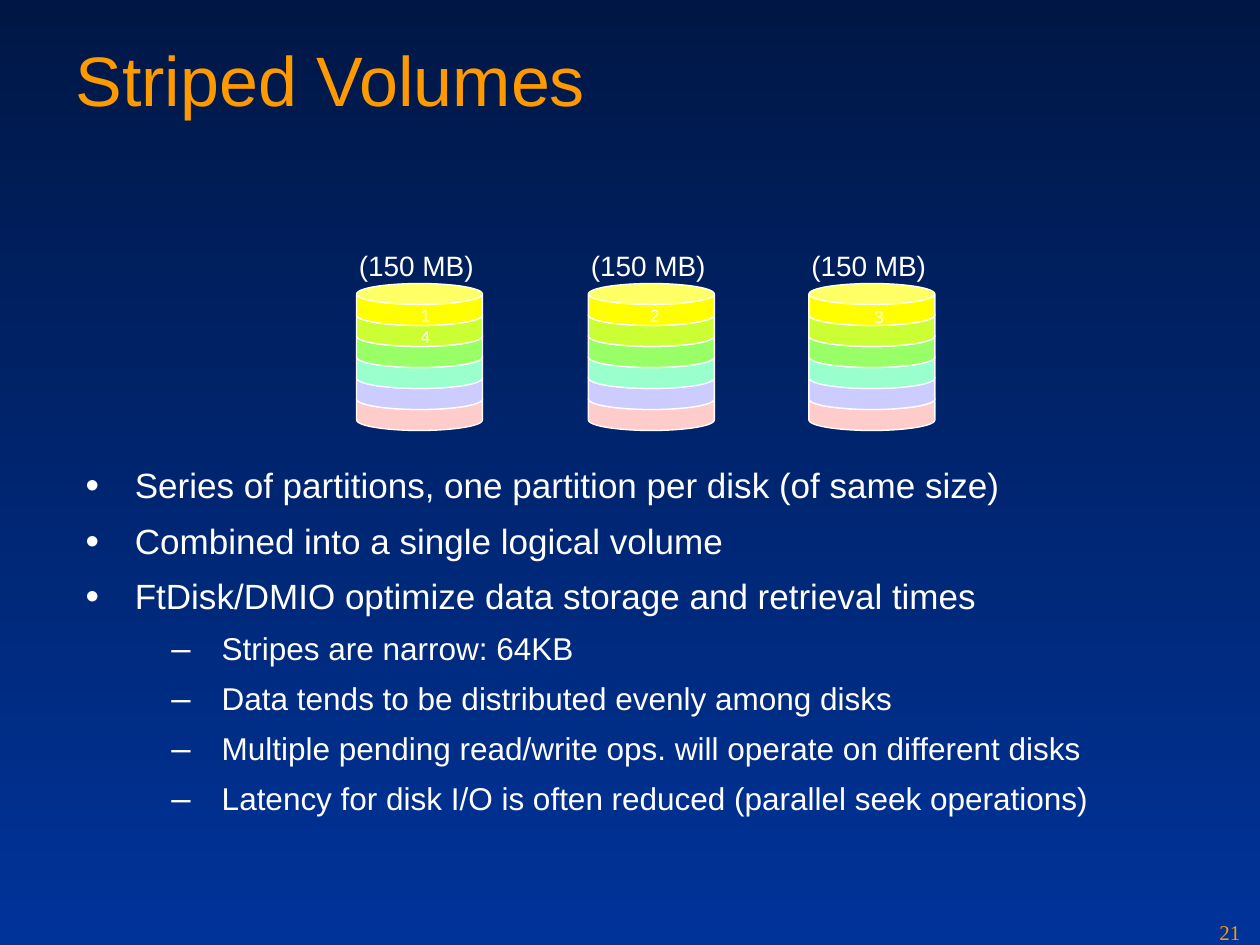
from dataclasses import dataclass

from lxml.etree import SubElement
from pptx import Presentation
from pptx.dml.color import RGBColor
from pptx.enum.shapes import MSO_SHAPE
from pptx.enum.text import MSO_ANCHOR, MSO_AUTO_SIZE, PP_ALIGN
from pptx.oxml.ns import qn
from pptx.util import Inches, Pt

COLORS = {
    "night": "001746", "blue": "003399", "orange": "FE9900", "white": "FFFFFF",
    "pink": "FFCCCC", "lilac": "CCCCFF", "mint": "99FFCC",
    "green": "99FF66", "lime": "CCFF33", "yellow": "FFFF00",
}
STRIPES = ["yellow", "lime", "green", "mint", "lilac", "pink"]
DISK_TOP, STRIPE_STEP = 2.25, 1 / 6


@dataclass
class Disk:
    left: float
    label_left: float


@dataclass
class Label:
    text: str
    left: float
    top: float
    width: float
    height: float
    size: float
    color: str = "white"
    font: str = "Arial"
    wrap: bool = False


@dataclass
class Level:
    size: float
    margin: float
    hang: float
    space: float
    bullet: str


LEVELS = [Level(20, 0.39, 0.39, 5, "•"), Level(18, 1.08, 0.4, 4.5, "–")]
DISKS = [Disk(2.83, 2.75), Disk(4.67, 4.59), Disk(6.42, 6.34)]
NUMBERS = [("1", 3.24, 2.37), ("2", 5.06, 2.37), ("4", 3.24, 2.54), ("3", 6.84, 2.38)]
BULLETS = [
    (0, "Series of partitions, one partition per disk (of same size)"),
    (0, "Combined into a single logical volume"),
    (0, "FtDisk/DMIO optimize data storage and retrieval times"),
    (1, "Stripes are narrow: 64KB"),
    (1, "Data tends to be distributed evenly among disks"),
    (1, "Multiple pending read/write ops. will operate on different disks"),
    (1, "Latency for disk I/O is often reduced (parallel seek operations)"),
]


def rgb(name: str) -> RGBColor:
    return RGBColor.from_string(COLORS[name])


def add_run(p, text: str, size: float, color: str, font: str = "Arial") -> None:
    r = p.add_run()
    r.text = text
    r.font.size = Pt(size)
    r.font.name = font
    r.font.color.rgb = rgb(color)


def place(sp, left: float, top: float, width: float, height: float):
    sp.left, sp.top = Inches(left), Inches(top)
    sp.width, sp.height = Inches(width), Inches(height)
    tf = sp.text_frame
    tf.auto_size = MSO_AUTO_SIZE.NONE
    tf.vertical_anchor = MSO_ANCHOR.TOP
    tf.word_wrap = True
    return tf


def add_bullet(p, level: int, text: str) -> None:
    style = LEVELS[level]
    p.level = level
    p.alignment = PP_ALIGN.LEFT
    p.line_spacing = 0.9
    p.space_before = p.space_after = Pt(style.space)
    pPr = p._p.get_or_add_pPr()
    pPr.set("marL", str(Inches(style.margin)))
    pPr.set("indent", str(-Inches(style.hang)))
    color = SubElement(pPr, qn("a:buClr"))
    SubElement(color, qn("a:srgbClr"), val=COLORS["white"])
    SubElement(pPr, qn("a:buSzPct"), val="110000")
    SubElement(pPr, qn("a:buFont"), typeface="Arial")
    SubElement(pPr, qn("a:buChar"), char=style.bullet)
    add_run(p, text, style.size, "white")


def add_disk(s, disk: Disk) -> None:
    # Lower stripes lie behind the upper ones
    for i, color in reversed(list(enumerate(STRIPES))):
        sp = s.shapes.add_shape(
            MSO_SHAPE.CAN, Inches(disk.left), Inches(DISK_TOP + i * STRIPE_STEP),
            Inches(1), Inches(2 * STRIPE_STEP))
        sp.adjustments[0] = 0.5
        sp.shadow.inherit = False
        sp.fill.solid()
        sp.fill.fore_color.rgb = rgb(color)
        sp.line.color.rgb = rgb("white")
        sp.line.width = Pt(0.74)


def add_label(s, label: Label) -> None:
    sp = s.shapes.add_textbox(Inches(label.left), Inches(label.top),
                              Inches(label.width), Inches(label.height))
    tf = sp.text_frame
    tf.word_wrap = label.wrap
    if not label.wrap:
        tf.auto_size = MSO_AUTO_SIZE.SHAPE_TO_FIT_TEXT
    add_run(tf.paragraphs[0], label.text, label.size, label.color, label.font)


prs = Presentation()
prs.slide_width, prs.slide_height = Inches(10), Inches(7.5)
s = prs.slides.add_slide(prs.slide_layouts[1])

# Background
fill = s.background.fill
fill.gradient()
fill.gradient_angle = 270
for stop, color in zip(fill.gradient_stops, ("night", "blue")):
    stop.color.rgb = rgb(color)

# Title
tf = place(s.shapes.title, 0.5, 0.24, 9, 1.25)
tf.paragraphs[0].alignment = PP_ALIGN.LEFT
add_run(tf.paragraphs[0], "Striped Volumes", 40, "orange")

# Bullet list
tf = place(s.placeholders[1], 0.58, 3.67, 9, 3.39)
for i, (level, text) in enumerate(BULLETS):
    add_bullet(tf.add_paragraph() if i else tf.paragraphs[0], level, text)

# Disks with their sizes and stripe numbers
for disk in DISKS:
    add_disk(s, disk)
for disk in DISKS:
    add_label(s, Label("(150 MB)", disk.label_left, 1.92, 1.11, 0.37, 16))
for text, left, top in NUMBERS:
    add_label(s, Label(text, left, top, 0.27, 0.27, 10))

# Page number
add_label(s, Label("21", 9.58, 7.25, 0.42, 0.25, 12, "orange", "Times New Roman", True))

prs.save("out.pptx")
